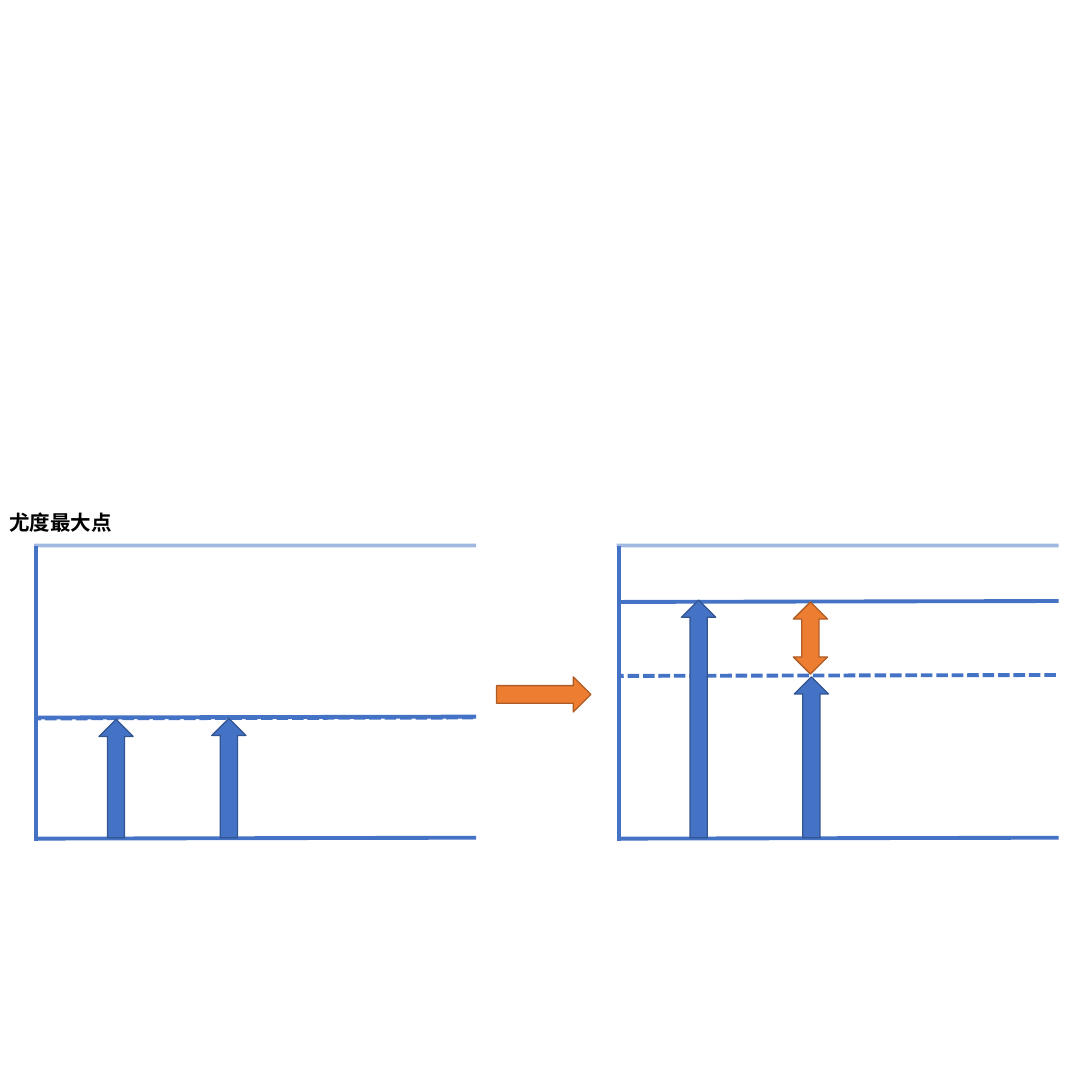
from dataclasses import dataclass

from lxml.etree import SubElement
from pptx import Presentation
from pptx.dml.color import RGBColor
from pptx.enum.dml import MSO_LINE
from pptx.enum.shapes import MSO_CONNECTOR, MSO_SHAPE
from pptx.enum.text import MSO_ANCHOR, MSO_AUTO_SIZE, PP_ALIGN
from pptx.oxml.ns import qn
from pptx.util import Inches, Pt


@dataclass(frozen=True)
class Theme:
    font: str = "Calibri"
    label_size: float = 16
    text: str = "000000"
    blue: str = "4472C4"
    blue_edge: str = "325491"
    orange: str = "ED7D31"
    orange_edge: str = "AF5C24"
    line_width: float = 3
    edge_width: float = 1
    ceiling_opacity: int = 49


def apply_format(target, values):
    for name, value in values.items():
        setattr(target, name, value)


class LikelihoodSlide:
    def __init__(self, slide, theme):
        self.slide = slide
        self.theme = theme

    def label(self, text, left, top, width, height):
        heading = self.slide.shapes.title
        apply_format(heading, {
            "left": Inches(left), "top": Inches(top),
            "width": Inches(width), "height": Inches(height),
        })
        frame = heading.text_frame
        frame.text = text
        apply_format(frame, {
            "word_wrap": False,
            "auto_size": MSO_AUTO_SIZE.NONE,
            "vertical_anchor": MSO_ANCHOR.TOP,
        })
        paragraph = frame.paragraphs[0]
        paragraph.alignment = PP_ALIGN.LEFT
        font = paragraph.runs[0].font
        apply_format(font, {"name": self.theme.font, "size": Pt(self.theme.label_size), "bold": True})
        font.color.rgb = RGBColor.from_string(self.theme.text)

    def line(self, start, end, dash=None, opacity=None):
        rule = self.slide.shapes.add_connector(
            MSO_CONNECTOR.STRAIGHT, *(Inches(value) for value in (*start, *end)))
        rule.line.color.rgb = RGBColor.from_string(self.theme.blue)
        apply_format(rule.line, {"width": Pt(self.theme.line_width), "dash_style": dash})
        properties = rule._element.spPr
        if opacity is not None:
            color = next(properties.iter(qn("a:srgbClr")))
            SubElement(color, qn("a:alpha")).set("val", str(opacity * 1000))
        SubElement(properties, qn("a:effectLst"))

    def arrow(self, kind, left, top, width, height, fill, edge, rotation=0):
        block = self.slide.shapes.add_shape(
            kind, *(Inches(value) for value in (left, top, width, height)))
        block.shadow.inherit = False
        block.rotation = rotation
        block.fill.solid()
        block.fill.fore_color.rgb = RGBColor.from_string(fill)
        block.line.color.rgb = RGBColor.from_string(edge)
        block.line.width = Pt(self.theme.edge_width)

    def rising_arrow(self, left, top, base=9.06):
        self.arrow(MSO_SHAPE.DOWN_ARROW, left, top, 0.37, base - top,
                   self.theme.blue, self.theme.blue_edge, rotation=180)

    def panel(self, axis, likelihood, bound, likelihood_tip, bound_tip):
        right = axis + 4.76
        self.line((axis, 5.91), (axis, 9.1))
        self.line((right, 9.06), (axis, 9.07))
        self.line((right, 5.9), (axis - 0.02, 5.9), opacity=self.theme.ceiling_opacity)
        self.line((right, likelihood), (axis + 0.02, likelihood + 0.01))
        self.line((right - 0.03, bound), (axis, bound + 0.01), dash=MSO_LINE.SQUARE_DOT)
        self.rising_arrow(axis + 0.68, likelihood_tip)
        self.rising_arrow(axis + 1.9, bound_tip)


def main():
    presentation = Presentation()
    apply_format(presentation, {"slide_width": Inches(11.81), "slide_height": Inches(11.81)})
    theme = Theme()
    title_only = presentation.slide_layouts[5]
    diagram = LikelihoodSlide(presentation.slides.add_slide(title_only), theme)
    orange = {"fill": theme.orange, "edge": theme.orange_edge}

    diagram.label("尤度最大点", 0, 5.47, 1.37, 0.37)
    diagram.panel(axis=0.39, likelihood=7.75, bound=7.76, likelihood_tip=7.78, bound_tip=7.77)
    diagram.arrow(MSO_SHAPE.RIGHT_ARROW, 5.37, 7.32, 1.02, 0.38, **orange)
    diagram.panel(axis=6.69, likelihood=6.5, bound=7.3, likelihood_tip=6.49, bound_tip=7.32)
    diagram.arrow(MSO_SHAPE.UP_DOWN_ARROW, 8.58, 6.51, 0.37, 0.78, **orange)

    presentation.save("out.pptx")


if __name__ == "__main__":
    main()
